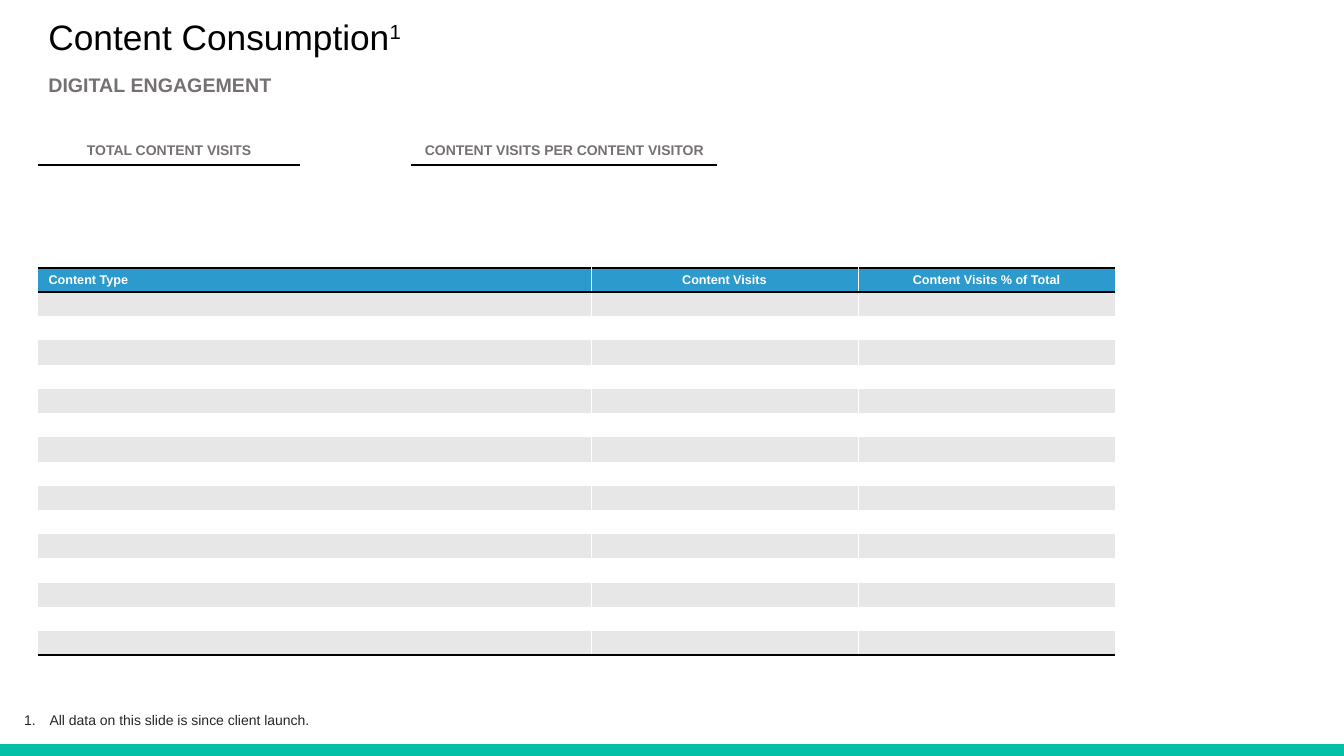
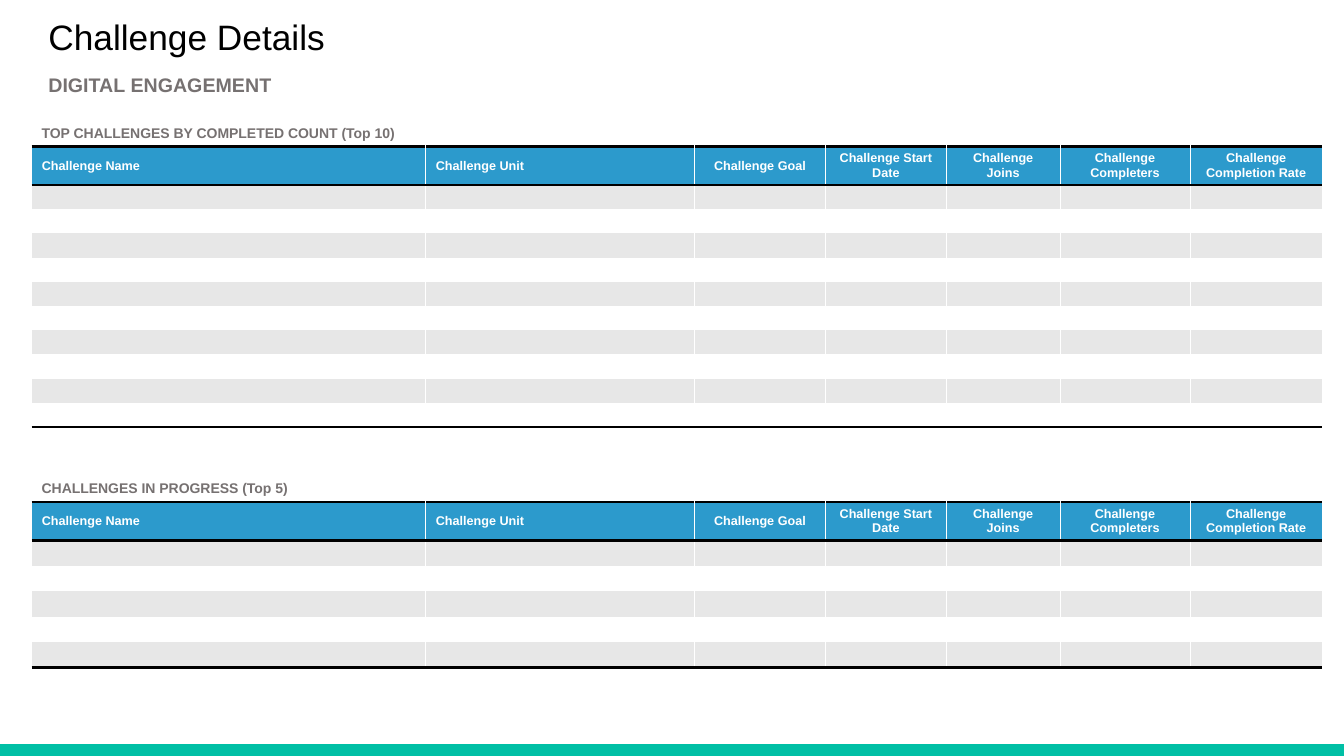
from lxml.etree import SubElement
from pptx import Presentation
from pptx.dml.color import RGBColor
from pptx.enum.shapes import MSO_SHAPE
from pptx.enum.text import MSO_ANCHOR, PP_ALIGN
from pptx.oxml.ns import qn
from pptx.util import Cm, Pt

# Colours
BLACK = RGBColor(0x00, 0x00, 0x00)
WHITE = RGBColor(0xFF, 0xFF, 0xFF)
TEAL = RGBColor(0x00, 0xBF, 0xA5)
BLUE = RGBColor(0x2C, 0x9A, 0xCC)
GREY = RGBColor(0x76, 0x71, 0x71)
BAND = RGBColor(0xE7, 0xE7, 0xE7)
DARK = RGBColor(0x26, 0x26, 0x26)

# Text formats
TITLE = dict(size=Pt(25.2), color=BLACK)
SUBTITLE = dict(size=Pt(14), color=GREY, bold=True)
CAPTION = dict(size=Pt(10), color=GREY, bold=True)
HEADER = dict(size=Pt(9), color=WHITE, bold=True)
NOTE = dict(size=Pt(10), color=DARK)

# Layout in centimetres
SLIDE_W, SLIDE_H = 33.87, 19.05
MARGIN = 0.97
FOOTER_H = 0.3
ROW_H = 0.61
NO_STYLE = "{2D5ABB26-0587-4C30-8999-92F81FD0307C}"

CONTENT_COLUMNS = [("Content Type", 13.92), ("Content Visits", 6.73),
                   ("Content Visits % of Total", 6.48)]
CHALLENGE_COLUMNS = [
    ("Challenge Name", 9.93), ("Challenge Unit", 6.77), ("Challenge Goal", 3.3),
    ("Challenge Start Date", 3.05), ("Challenge Joins", 2.86),
    ("Challenge Completers", 3.28), ("Challenge Completion Rate", 3.33)]


def add_run(p, text, fmt):
    r = p.add_run()
    r.text = text
    r.font.name = "Arial"
    for name, value in fmt.items():
        if name == "color":
            r.font.color.rgb = value
        else:
            setattr(r.font, name, value)
    return r


def add_text(s, text, box, fmt, anchor=MSO_ANCHOR.TOP, spacing=None):
    tf = s.shapes.add_textbox(*map(Cm, box)).text_frame
    tf.word_wrap = True
    tf.vertical_anchor = anchor
    p = tf.paragraphs[0]
    p.line_spacing = spacing
    add_run(p, text, fmt)
    return p


def add_note(s, text, box):
    """Numbered footnote with a hanging indent."""
    pPr = add_text(s, text, box, NOTE)._p.get_or_add_pPr()
    pPr.set("marL", str(Cm(0.64)))
    pPr.set("indent", str(-Cm(0.64)))
    SubElement(pPr, qn("a:buAutoNum"), type="arabicPeriod")


def add_border(cell, side, color, width):
    ln = SubElement(cell._tc.get_or_add_tcPr(), qn(f"a:ln{side}"), w=str(Pt(width)))
    fill = SubElement(ln, qn("a:solidFill"))
    SubElement(fill, qn("a:srgbClr"), val=str(color))


def add_plain_table(s, left, top, widths, heights):
    shape = s.shapes.add_table(len(heights), len(widths), Cm(left), Cm(top),
                               Cm(sum(widths)), Cm(sum(heights)))
    table = shape.table
    table.first_row = table.horz_banding = False
    table._tbl.tblPr.find(qn("a:tableStyleId")).text = NO_STYLE
    for column, width in zip(table.columns, widths):
        column.width = Cm(width)
    for row, height in zip(table.rows, heights):
        row.height = Cm(height)
    return table


def fill_cell(cell, text, fmt, align=PP_ALIGN.CENTER):
    cell.vertical_anchor = MSO_ANCHOR.MIDDLE
    cell.margin_top = cell.margin_bottom = Cm(0.1)
    p = cell.text_frame.paragraphs[0]
    p.alignment = align
    if text:
        add_run(p, text, fmt)
    else:
        SubElement(p._p, qn("a:endParaRPr"), sz="900")


def add_metric(s, text, left, width):
    """Underlined heading of a single figure."""
    cell = add_plain_table(s, left, 3.45, [width], [0.71]).cell(0, 0)
    add_border(cell, "B", BLACK, 1)
    fill_cell(cell, text, CAPTION)


def add_banded_table(s, left, top, columns, body_rows, left_aligned,
                     header_h=ROW_H, row_h=ROW_H):
    """Blue header over grey and white rows, ruled in black."""
    table = add_plain_table(s, left, top, [w for _, w in columns],
                            [header_h] + [row_h] * body_rows)
    last_col = len(columns) - 1
    for i in range(body_rows + 1):
        for j, (label, _) in enumerate(columns):
            cell = table.cell(i, j)
            if j > 0:
                add_border(cell, "L", WHITE, 0.5)
            if j < last_col:
                add_border(cell, "R", WHITE, 0.5)
            if i == 0:
                add_border(cell, "T", BLACK, 2)
            if i in (0, body_rows):
                add_border(cell, "B", BLACK, 2)
            cell.fill.solid()
            cell.fill.fore_color.rgb = BLUE if i == 0 else BAND if i % 2 else WHITE
            align = PP_ALIGN.LEFT if j < left_aligned else PP_ALIGN.CENTER
            fill_cell(cell, label if i == 0 else "", HEADER, align)


def add_challenges(s, caption, top, body_rows, row_h):
    left = 0.8
    add_banded_table(s, left, top, CHALLENGE_COLUMNS, body_rows, 2, 0.97, row_h)
    add_text(s, caption, (left, top - 0.68, 31.95, 0.69), CAPTION)


def add_slide(prs, title, superscript=None):
    """Blank slide with footer band, title and subtitle."""
    s = prs.slides.add_slide(prs.slide_layouts[6])
    band = s.shapes.add_shape(MSO_SHAPE.RECTANGLE, 0, Cm(SLIDE_H - FOOTER_H),
                              Cm(SLIDE_W), Cm(FOOTER_H))
    band.shadow.inherit = False
    band.fill.solid()
    band.fill.fore_color.rgb = TEAL
    band.line.fill.background()
    p = add_text(s, title, (MARGIN, 0.46, 31.95, 1.04), TITLE, MSO_ANCHOR.MIDDLE, 0.9)
    if superscript:
        r = add_run(p, superscript, TITLE)
        r.font._element.set("baseline", "30000")
    add_text(s, "DIGITAL ENGAGEMENT", (MARGIN, 1.78, 11.07, 0.71), SUBTITLE, spacing=0.9)
    return s


def main():
    prs = Presentation()
    prs.slide_width, prs.slide_height = Cm(SLIDE_W), Cm(SLIDE_H)

    # Content consumption
    s = add_slide(prs, "Content Consumption", "1")
    add_metric(s, "TOTAL CONTENT VISITS", MARGIN, 6.58)
    add_metric(s, "CONTENT VISITS PER CONTENT VISITOR", 10.37, 7.7)
    add_banded_table(s, MARGIN, 6.75, CONTENT_COLUMNS, 15, 1)
    add_note(s, "All data on this slide is since client launch.", (0.36, 17.81, 29.72, 0.64))

    # Challenge details
    s = add_slide(prs, "Challenge Details")
    add_challenges(s, "TOP CHALLENGES BY COMPLETED COUNT (Top 10)", 3.69, 10, ROW_H)
    add_challenges(s, "CHALLENGES IN PROGRESS (Top 5)", 12.65, 5, 0.64)

    prs.save("out.pptx")


if __name__ == "__main__":
    main()
